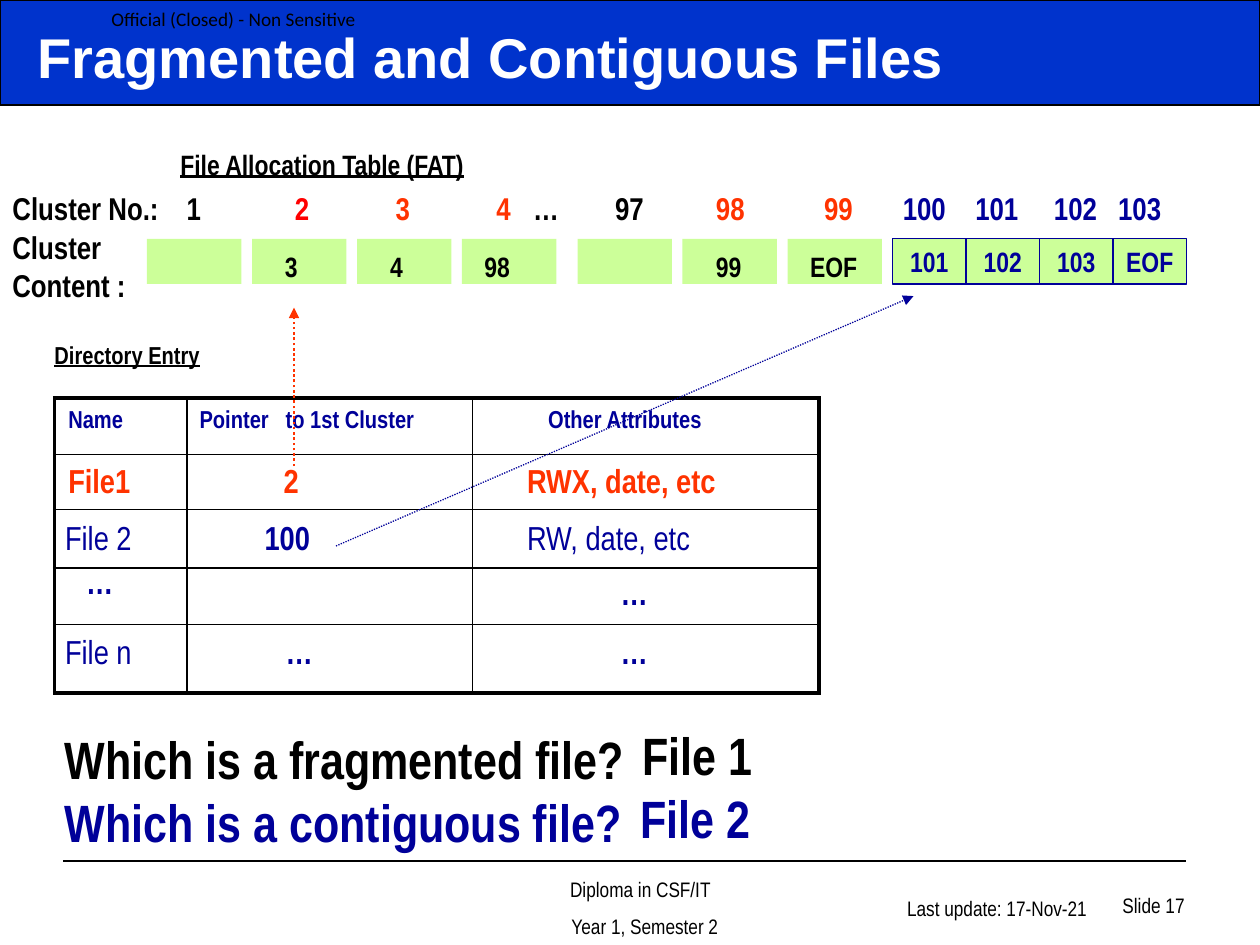
import pptx
import pptx.util
import pptx.dml.color
import pptx.enum.dml
import pptx.enum.shapes
import pptx.enum.text
import pptx.oxml
import pptx.oxml.ns

RGBColor = pptx.dml.color.RGBColor
BLACK = RGBColor(0x00, 0x00, 0x00)
WHITE = RGBColor(0xFF, 0xFF, 0xFF)
BLUE = RGBColor(0x00, 0x33, 0xCC)
NAVY = RGBColor(0x00, 0x00, 0x99)
RED = RGBColor(0xFF, 0x00, 0x00)
ORANGE = RGBColor(0xFF, 0x33, 0x00)
GREEN = RGBColor(0xCC, 0xFF, 0x99)

WIDTH, HEIGHT = pptx.util.Inches(10), pptx.util.Inches(7.5)
COLUMNS, ROWS = 120, 90

ALIGN = pptx.enum.text.PP_ALIGN
ANCHOR = pptx.enum.text.MSO_ANCHOR
NARROW = {"name": "Arial Narrow", "bold": True}
FOOTER = {"name": "Arial Narrow", "size": 12}
UNDERLINED = {**NARROW, "underline": True}

CLUSTER_STOPS = [16.6, 26.9, 36.5, 46.1, 49.6, 57.4, 67, 77.3, 84.8, 91.7, 99.2, 105.3]
CLUSTER_NUMBERS = [
    ("Cluster No.:\t1\t", BLACK), ("2\t", RED), ("3\t4\t", ORANGE),
    ("…\t97\t", BLACK), ("98\t99\t", ORANGE), ("100\t101\t102\t103", NAVY)]

# Each group: first column, then content and right inset of every cluster
FAT_GROUPS = [(14, [("", 0), ("3", 1.5), ("4", 1.5), ("98", 2.3)]),
              (55, [("", 0), ("99", 0.2), ("EOF", 0.2)])]

# Each entry: text, left inset in columns, size, colour, bold
DIRECTORY = [
    [("Name", 1.3, 14, NAVY, True), ("Pointer\tto 1st Cluster", 1.2, 14, NAVY, True),
     ("Other Attributes", 7.2, 14, NAVY, True)],
    [("File1", 1.3, 19, ORANGE, True), ("2", 9.2, 19, ORANGE, True),
     ("RWX, date, etc", 5.2, 19, ORANGE, True)],
    [("File 2", 1, 19, NAVY, False), ("100", 7.4, 19, NAVY, True),
     ("RW, date, etc", 5.2, 19, NAVY, False)],
    [("…", 3, 19, NAVY, True), ("", 0, 19, NAVY, False), ("…", 14.1, 19, NAVY, True)],
    [("File n", 1, 19, NAVY, False), ("…", 9.4, 19, NAVY, True),
     ("…", 14.1, 19, NAVY, True)]]
DIRECTORY_COLUMNS = [12.6, 27.2, 33]
DIRECTORY_ROWS = [5.4, 5.2, 5.6, 5.4, 6.5]
DIRECTORY_INSETS = [1.2, 1.4, 1.6, 1.3, 1.5]


def col(count):
    return int(WIDTH * count / COLUMNS)


def row(count):
    return int(HEIGHT * count / ROWS)


def grid_box(left, top, width, height):
    return col(left), row(top), col(width), row(height)


def set_values(target, values):
    for key, value in values.items():
        setattr(target, key, value)


def add_run(paragraph, text, color, style):
    run = paragraph.add_run()
    run.text = text
    set_values(run.font, {**style, "size": pptx.util.Pt(style["size"])})
    run.font.color.rgb = color


def set_tabs(paragraph, stops):
    properties = paragraph._p.get_or_add_pPr()
    tabs = pptx.oxml.parse_xml("<a:tabLst %s/>" % pptx.oxml.ns.nsdecls("a"))
    for stop in stops:
        tabs.append(pptx.oxml.parse_xml('<a:tab %s pos="%d" algn="l"/>' % (
            pptx.oxml.ns.nsdecls("a"), col(stop))))
    properties.append(tabs)


def add_label(slide, box, lines, style, anchor=ANCHOR.BOTTOM, tabs=(),
              frame_format=None, paragraph_format=None):
    """Each line is a list of (text, colour) runs."""
    frame = slide.shapes.add_textbox(*grid_box(*box)).text_frame
    set_values(frame, {"word_wrap": True, "vertical_anchor": anchor, **(frame_format or {})})
    for index, runs in enumerate(lines):
        paragraph = frame.add_paragraph() if index else frame.paragraphs[0]
        set_values(paragraph, paragraph_format or {})
        if tabs:
            set_tabs(paragraph, tabs)
        for text, color in runs:
            add_run(paragraph, text, color, style)


def add_box(slide, box, fill, outline=None, weight=0.75, text="", color=BLACK,
            drop=0, right_inset=0):
    shape = slide.shapes.add_shape(
        pptx.enum.shapes.MSO_SHAPE.RECTANGLE, *grid_box(*box))
    shape.shadow.inherit = False
    shape.fill.solid()
    shape.fill.fore_color.rgb = fill
    if outline is None:
        shape.line.fill.background()
    else:
        shape.line.color.rgb = outline
        shape.line.width = pptx.util.Pt(weight)
    if text:
        set_values(shape.text_frame, {
            "margin_left": 0, "margin_right": col(right_inset), "margin_bottom": 0,
            "margin_top": row(drop), "word_wrap": True, "vertical_anchor": ANCHOR.MIDDLE})
        paragraph = shape.text_frame.paragraphs[0]
        paragraph.alignment = ALIGN.CENTER
        add_run(paragraph, text, color, {**NARROW, "size": 16})


def add_line(slide, start, end, color, weight, arrow=False):
    line = slide.shapes.add_connector(
        pptx.enum.shapes.MSO_CONNECTOR.STRAIGHT,
        col(start[0]), row(start[1]), col(end[0]), row(end[1]))
    line.line.color.rgb = color
    line.line.width = pptx.util.Pt(weight)
    if arrow:
        line.line.dash_style = pptx.enum.dml.MSO_LINE.ROUND_DOT
        line.line._get_or_add_ln().append(pptx.oxml.parse_xml(
            '<a:tailEnd %s type="triangle"/>' % pptx.oxml.ns.nsdecls("a")))
    line._element.spPr.append(pptx.oxml.parse_xml(
        "<a:effectLst %s/>" % pptx.oxml.ns.nsdecls("a")))


def set_border(cell, side, weight):
    cell._tc.get_or_add_tcPr().append(pptx.oxml.parse_xml(
        '<a:ln%s %s w="%d"><a:solidFill><a:srgbClr val="%s"/></a:solidFill></a:ln%s>' % (
            side, pptx.oxml.ns.nsdecls("a"), pptx.util.Pt(weight), BLACK, side)))


def add_directory(slide):
    last_row, last_column = len(DIRECTORY_ROWS) - 1, len(DIRECTORY_COLUMNS) - 1
    box = grid_box(5.2, 37.9, sum(DIRECTORY_COLUMNS), sum(DIRECTORY_ROWS))
    table = slide.shapes.add_table(last_row + 1, last_column + 1, *box).table
    set_values(table, {"first_row": False, "horz_banding": False})
    for index, width in enumerate(DIRECTORY_COLUMNS):
        table.columns[index].width = col(width)
    for r, entries in enumerate(DIRECTORY):
        table.rows[r].height = row(DIRECTORY_ROWS[r])
        for c, (text, inset, size, color, bold) in enumerate(entries):
            cell = table.cell(r, c)
            raised = r == 3 and c == 0
            top = 0.2 if raised else DIRECTORY_INSETS[r]
            set_values(cell, {"margin_left": col(inset), "margin_right": 0,
                              "margin_top": row(top), "margin_bottom": 0})
            outer = {"L": c == 0, "R": c == last_column, "T": r == 0, "B": r == last_row}
            for side, is_outer in outer.items():
                set_border(cell, side, 2.25 if is_outer else 1)
            cell.fill.background()
            paragraph = cell.text_frame.paragraphs[0]
            if "\t" in text:
                set_tabs(paragraph, [8.2])
            if text:
                add_run(paragraph, text, color, {**NARROW, "size": size, "bold": bold})


def add_frame(slide):
    # Title band
    add_box(slide, (0, 0, 120, 10), BLUE, BLACK, 1.5)
    add_label(slide, (10.6, 0, 26, 3.6), [[("Official (Closed) - Non Sensitive", BLACK)]],
              {"name": "Calibri", "size": 11}, ANCHOR.MIDDLE,
              frame_format={"margin_left": 0, "margin_top": 0,
                            "margin_right": 0, "margin_bottom": 0})
    add_label(slide, (2.4, 2.3, 105.8, 6), [[("Fragmented and Contiguous Files", WHITE)]],
              {"name": "Arial", "size": 32, "bold": True}, ANCHOR.MIDDLE)
    # Footer
    add_line(slide, (6, 82), (113, 82), BLACK, 1)
    indented = {"margin_left": col(7.2)}
    centred = {"alignment": ALIGN.CENTER, "space_before": pptx.util.Pt(7)}
    add_label(slide, (40.7, 85, 35, 5),
              [[("Diploma in CSF/IT ", BLACK)], [(" Year 1, Semester 2", BLACK)]],
              FOOTER, frame_format=indented, paragraph_format=centred)
    add_label(slide, (79, 83.3, 25.9, 5), [[("Last update: 17-Nov-21", BLACK)]],
              FOOTER, frame_format=indented, paragraph_format=centred)
    add_label(slide, (86, 82, 28, 6), [[("Slide 17", BLACK)]], FOOTER,
              paragraph_format={"alignment": ALIGN.RIGHT})


def add_allocation_table(slide):
    add_label(slide, (16, 13, 37, 4.8), [[("File Allocation Table (FAT)", BLACK)]],
              {**UNDERLINED, "size": 16})
    add_label(slide, (0, 17.4, 118.2, 4.8), [CLUSTER_NUMBERS],
              {**NARROW, "size": 18}, tabs=CLUSTER_STOPS)
    add_label(slide, (0, 21, 14.6, 8.5), [[("Cluster Content :", BLACK)]],
              {**NARROW, "size": 18})
    for start, clusters in FAT_GROUPS:
        for index, (content, inset) in enumerate(clusters):
            add_box(slide, (start + 10 * index, 22.75, 9, 4.3), GREEN, text=content,
                    drop=0.9, right_inset=inset)
    for index, content in enumerate(["101", "102", "103", "EOF"]):
        add_box(slide, (85 + 7 * index, 22.75, 7, 4.3), GREEN, NAVY, text=content, color=NAVY)


def add_questions(slide):
    style = {**NARROW, "size": 30}
    add_label(slide, (5, 68.5, 101, 13.3), [[("Which is a fragmented file?", BLACK)],
                                            [("Which is a contiguous file?", NAVY)]], style)
    add_label(slide, (60, 68.3, 16, 7.3), [[("File 1", BLACK)]], style, ANCHOR.TOP)
    add_label(slide, (59.8, 74.3, 16, 7.3), [[("File 2", NAVY)]], style, ANCHOR.TOP)


def main():
    deck = pptx.Presentation()
    set_values(deck, {"slide_width": WIDTH, "slide_height": HEIGHT})
    slide = deck.slides.add_slide(deck.slide_layouts[6])
    add_frame(slide)
    add_allocation_table(slide)
    # Directory with pointers to the first clusters
    add_label(slide, (4, 31.7, 16.4, 4.1), [[("Directory Entry", BLACK)]],
              {**UNDERLINED, "size": 14})
    add_directory(slide)
    add_line(slide, (28, 44.4), (28, 29.3), ORANGE, 1.5, arrow=True)
    add_line(slide, (32, 52), (87, 28.2), NAVY, 0.75, arrow=True)
    add_questions(slide)
    deck.save("out.pptx")


main()
